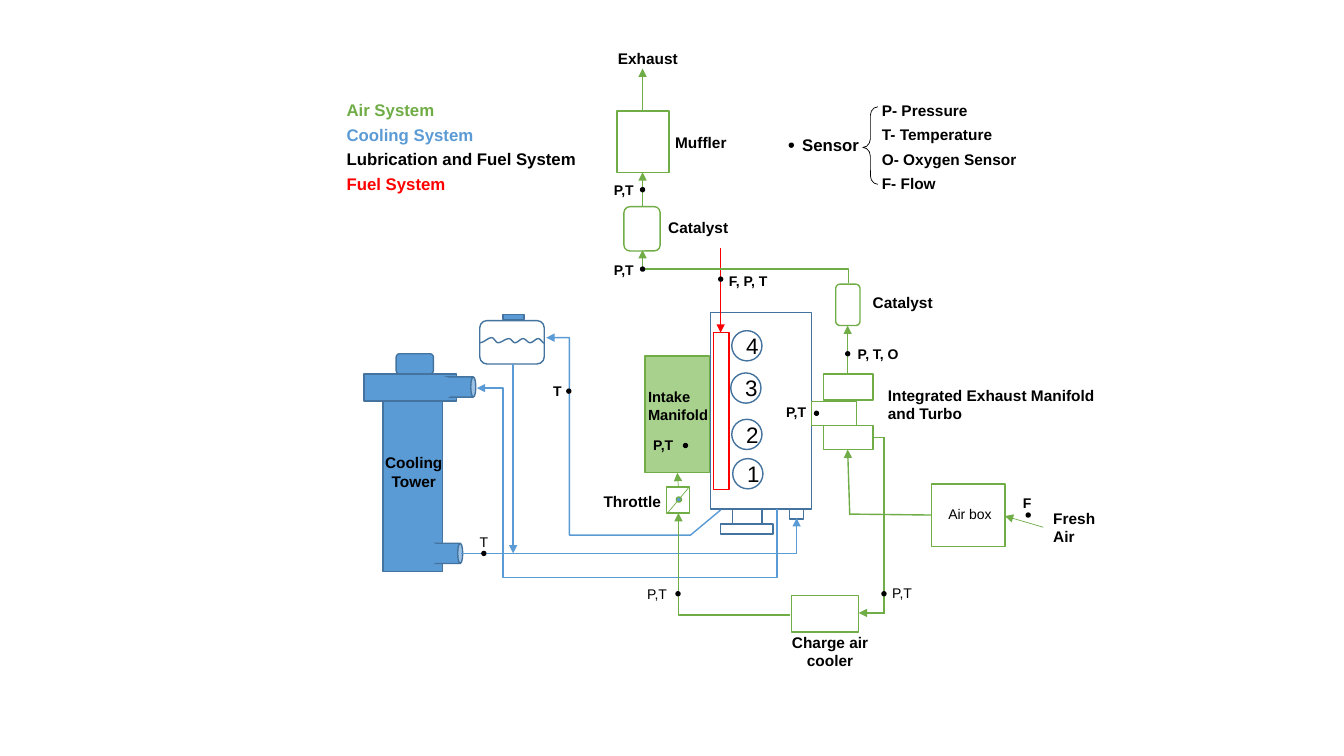
"""Build a one-slide schematic of an engine test bench with its air, cooling and fuel systems."""
from math import cos, pi

from lxml import etree
from pptx import Presentation
from pptx.dml.color import RGBColor
from pptx.enum.shapes import MSO_CONNECTOR, MSO_SHAPE
from pptx.enum.text import MSO_ANCHOR, PP_ALIGN
from pptx.oxml.ns import qn
from pptx.util import Pt

RECT, ROUND, OVAL = MSO_SHAPE.RECTANGLE, MSO_SHAPE.ROUNDED_RECTANGLE, MSO_SHAPE.OVAL
CAN, BRACE = MSO_SHAPE.CAN, MSO_SHAPE.LEFT_BRACE
STRAIGHT = MSO_CONNECTOR.STRAIGHT
TOP, MIDDLE = MSO_ANCHOR.TOP, MSO_ANCHOR.MIDDLE
LEFT, CENTER = PP_ALIGN.LEFT, PP_ALIGN.CENTER
BLACK = RGBColor(0x00, 0x00, 0x00)
WHITE = RGBColor(0xFF, 0xFF, 0xFF)
GREEN = RGBColor(0x70, 0xAD, 0x47)
LIGHT_GREEN = RGBColor(0xA9, 0xD1, 0x8E)
BLUE = RGBColor(0x5B, 0x9B, 0xD5)
DARK_BLUE = RGBColor(0x43, 0x73, 0x9E)
RED = RGBColor(0xFF, 0x00, 0x00)

prs = Presentation()
prs.slide_width, prs.slide_height = Pt(960), Pt(540)
shapes = prs.slides.add_slide(prs.slide_layouts[6]).shapes


def draw(kind, x, y, w, h, line, fill=None, weight=1):
    part = shapes.add_shape(kind, Pt(x), Pt(y), Pt(w), Pt(h))
    part.shadow.inherit = False
    if fill is None:
        part.fill.background()
    else:
        part.fill.solid()
        part.fill.fore_color.rgb = fill
    if line is None:
        part.line.fill.background()
    else:
        part.line.color.rgb = line
        part.line.width = Pt(weight)
    return part


def write(frame, text, size, bold=True, color=BLACK, align=LEFT, anchor=TOP):
    frame.text = text
    frame.vertical_anchor = anchor
    paragraph = frame.paragraphs[0]
    paragraph.alignment = align
    font = paragraph.runs[0].font
    font.name, font.size, font.bold = "Arial", Pt(size), bold
    font.color.rgb = color


engine_block = (RECT, 507.6, 223.2, 72, 140.4, DARK_BLUE, WHITE)
crank_shaft = (RECT, 523.4, 363.6, 20.9, 10.8, DARK_BLUE)
crank_pulley = (RECT, 514.8, 374.4, 37.4, 7.2, DARK_BLUE)
coolant_inlet = (RECT, 563.8, 363.6, 10.1, 7.2, DARK_BLUE)
fuel_rail = (RECT, 509.8, 237.6, 10.8, 112.3, RED)
intake_manifold = (RECT, 460.8, 254.2, 46.1, 83.5, GREEN, LIGHT_GREEN)
throttle = (RECT, 475.9, 347.8, 16.6, 18.7, GREEN)
exhaust_manifold = (RECT, 579.6, 286.6, 32.4, 17.3, GREEN)
turbine = (RECT, 588.2, 267.1, 35.3, 18.7, GREEN)
compressor = (RECT, 588.2, 303.8, 35.3, 17.3, GREEN)
turbo_catalyst = (ROUND, 597, 203, 17.3, 29.5, GREEN)
exhaust_catalyst = (ROUND, 445.7, 147.6, 25.9, 31.7, GREEN)
muffler = (RECT, 440.6, 79.2, 37.4, 43.9, GREEN)
air_box = (RECT, 665.3, 345.6, 52.6, 44.6, GREEN)
charge_air_cooler = (RECT, 565.2, 425.5, 48.2, 25.9, GREEN)
tower_head = (RECT, 259.9, 267.1, 66.2, 19.4, DARK_BLUE, BLUE)
tower_body = (RECT, 273.6, 286.6, 42.5, 121.7, DARK_BLUE, BLUE)
tower_cap = (ROUND, 283, 252.7, 26.6, 14.4, DARK_BLUE, BLUE)
expansion_tank = (ROUND, 342.7, 229, 46.1, 31, DARK_BLUE)
tank_cap = (RECT, 359.3, 224.6, 15.1, 3.6, DARK_BLUE, BLUE)
for part in (engine_block, crank_shaft, crank_pulley, coolant_inlet, fuel_rail,
             intake_manifold, throttle, exhaust_manifold, turbine, compressor,
             turbo_catalyst, exhaust_catalyst, muffler, air_box, charge_air_cooler,
             tower_head, tower_body, tower_cap, expansion_tank, tank_cap):
    draw(*part)

for number, x, y in (("4", 522.7, 236.2), ("3", 522, 266.4), ("2", 522.7, 299.5), ("1", 523.4, 327.6)):
    cylinder = draw(OVAL, x, y, 21.6, 21.6, DARK_BLUE, WHITE)
    write(cylinder.text_frame, number, 16, False, align=CENTER, anchor=MIDDLE)

upper_port = (320.4, 264.2, 14.4, 24.5), (306, 268.6, 18.7, 16.6)
lower_port = (308.2, 380.2, 14.4, 30.2), (291.6, 385.9, 23, 18.7)
for pipe, joint in (upper_port, lower_port):
    draw(CAN, *pipe, DARK_BLUE, BLUE).rotation = 90
    draw(OVAL, *joint, None, BLUE)

sensor_brace = draw(BRACE, 616.3, 76.3, 10.8, 55.4, BLACK, weight=0.5)
sensor_brace.adjustments[0] = 0.57
sensor_brace.adjustments[1] = 0.524

wave_knots = [(342.7, 244.8), (351.4, 241.2), (355.7, 244.8), (363.6, 241.9), (367.9, 244.8),
              (373.7, 241.9), (378.7, 244.8), (384.5, 241.9), (389.2, 245.2)]
water_level = [wave_knots[0]]
for (x0, y0), (x1, y1) in zip(wave_knots, wave_knots[1:]):
    for step in range(1, 9):
        t = step / 8
        water_level.append((x0 + (x1 - x0) * t, y0 + (y1 - y0) * (1 - cos(pi * t)) / 2))

flows = [
    (water_level, DARK_BLUE, 1, False),
    ([(555.1, 363.6), (555.1, 412.6), (359.3, 412.6), (359.3, 277.2), (340.6, 277.2)], BLUE, 1, True),
    ([(514.8, 364.3), (493.2, 382.3), (406.8, 382.3), (406.8, 241.2), (390.2, 241.2)], BLUE, 1, True),
    ([(329, 395.3), (569, 395.3), (569, 370.1)], BLUE, 1, True),
    ([(366.5, 259.9), (366.5, 395.3)], BLUE, 1, True),
    ([(490.3, 382.3), (406.8, 382.3)], BLUE, 0.5, False),
    ([(514.8, 177.1), (514.8, 237.6)], RED, 1, True),
    ([(605.5, 267.1), (605.5, 232.6)], GREEN, 1, True),
    ([(606.2, 202.3), (606.2, 192.2), (459, 192.2)], GREEN, 1, False),
    ([(459, 193.7), (459, 178.6)], GREEN, 1, True),
    ([(459, 147.6), (459, 123.1)], GREEN, 1, True),
    ([(459, 79.2), (459, 49)], GREEN, 1, True),
    ([(745.2, 376.6), (717.8, 368.6)], GREEN, 0.5, True),
    ([(665.3, 367.9), (607, 367.2)], GREEN, 1, False),
    ([(607, 367.9), (605.5, 321.1)], GREEN, 1, True),
    ([(623.5, 312.5), (631.4, 312.5)], GREEN, 1, False),
    ([(631.4, 312.5), (631.4, 438.5)], GREEN, 1, False),
    ([(631.4, 437.8), (613.4, 437.8)], GREEN, 1, True),
    ([(564.5, 439.2), (484.6, 439.2), (484.6, 366.5)], GREEN, 1, True),
    ([(484.6, 347.8), (483.8, 337.7)], GREEN, 0.5, True),
    ([(491.8, 348.5), (477.4, 365.8)], GREEN, 0.5, False),
]
for points, color, weight, arrow in flows:
    corners = [(Pt(x), Pt(y)) for x, y in points]
    if len(corners) == 2:
        flow = shapes.add_connector(STRAIGHT, *corners[0], *corners[1])
    else:
        outline = shapes.build_freeform(*corners[0])
        outline.add_line_segments(corners[1:], close=False)
        flow = outline.convert_to_shape()
        flow.fill.background()
    flow.line.color.rgb = color
    flow.line.width = Pt(weight)
    if arrow:
        etree.SubElement(flow.line._get_or_add_ln(), qn("a:tailEnd"), type="triangle")
    etree.SubElement(flow._element.spPr, qn("a:effectLst"))

draw(OVAL, 483.1, 355, 3.6, 3.6, GREEN, BLUE)
for x, y in ((489.6, 318.2), (583.2, 295.2), (631.4, 424.1), (605.5, 252.7), (459, 135.5),
             (734.4, 367.9), (459, 192.2), (514.8, 199.4), (345.6, 395.3), (406.3, 279.4),
             (484.3, 424.1), (565.2, 103.7)):
    draw(OVAL, x - 1.4, y - 1.4, 2.8, 2.8, BLACK, BLACK)

captions = [
    ("Intake Manifold", 455.8, 273.6, 60.5, 32.4, 10.5, True, BLACK, LEFT, TOP),
    ("Throttle", 424.1, 347.8, 60.5, 20.9, 11),
    ("Exhaust", 434.2, 31.7, 60.5, 20.9, 11),
    ("Muffler", 475.2, 91.4, 60.5, 20.9, 11),
    ("Catalyst", 470.2, 151.9, 66.2, 20.9, 11),
    ("Catalyst", 616.3, 205.9, 60.5, 20.9, 11),
    ("Integrated Exhaust Manifold and Turbo", 627.1, 272.2, 162.7, 33.8, 11),
    ("Air box", 670.3, 357.8, 60.5, 19.4, 10, False),
    ("Fresh Air", 745.2, 360, 44.6, 33.8, 11),
    ("Cooling Tower", 262.8, 320.4, 65.5, 33.8, 11, True, BLACK, CENTER),
    ("Charge air cooler", 557.3, 448.6, 71.3, 33.8, 11, True, BLACK, CENTER),
    ("F", 723.6, 349.9, 22.3, 19.4, 10),
    ("T", 388.1, 270, 22.3, 19.4, 10),
    ("T", 335.5, 377.3, 22.3, 19.4, 10, False),
    ("Sensor", 565.9, 92.9, 55.4, 21.6, 12, True, BLACK, LEFT, MIDDLE),
]
systems = (("Air System", GREEN), ("Cooling System", BLUE),
           ("Lubrication and Fuel System", BLACK), ("Fuel System", RED))
quantities = ("P- Pressure", "T- Temperature", "O- Oxygen Sensor", "F- Flow")
for row, ((system, color), quantity) in enumerate(zip(systems, quantities)):
    y = 68 + 17.4 * row
    captions.append((system, 240.5, y, 180, 21.6, 12, True, color, LEFT, MIDDLE))
    captions.append((quantity, 622.8, y + 0.4, 114.5, 20.9, 11, True, BLACK, LEFT, MIDDLE))
for text, x, y, w, h, *style in captions:
    frame = shapes.add_textbox(Pt(x), Pt(y), Pt(w), Pt(h)).text_frame
    frame.word_wrap = True
    write(frame, text, *style)

for text, x, y, w, bold in (("P, T, O", 612.7, 247, 31.7, True), ("F, P, T", 520.6, 194.4, 30.2, True),
                            ("P,T", 438.5, 129.6, 15.8, True), ("P,T", 438.5, 186.5, 15.8, True),
                            ("P,T", 466.6, 311.8, 15.8, True), ("P,T", 561.6, 288, 15.8, True),
                            ("P,T", 637.2, 417.6, 15.8, False), ("P,T", 462.2, 418.3, 15.8, False)):
    frame = shapes.add_textbox(Pt(x), Pt(y), Pt(w), Pt(12.2)).text_frame
    frame.margin_left = frame.margin_top = frame.margin_right = frame.margin_bottom = Pt(0)
    frame.word_wrap = False
    write(frame, text, 10, bold)

prs.save("out.pptx")
